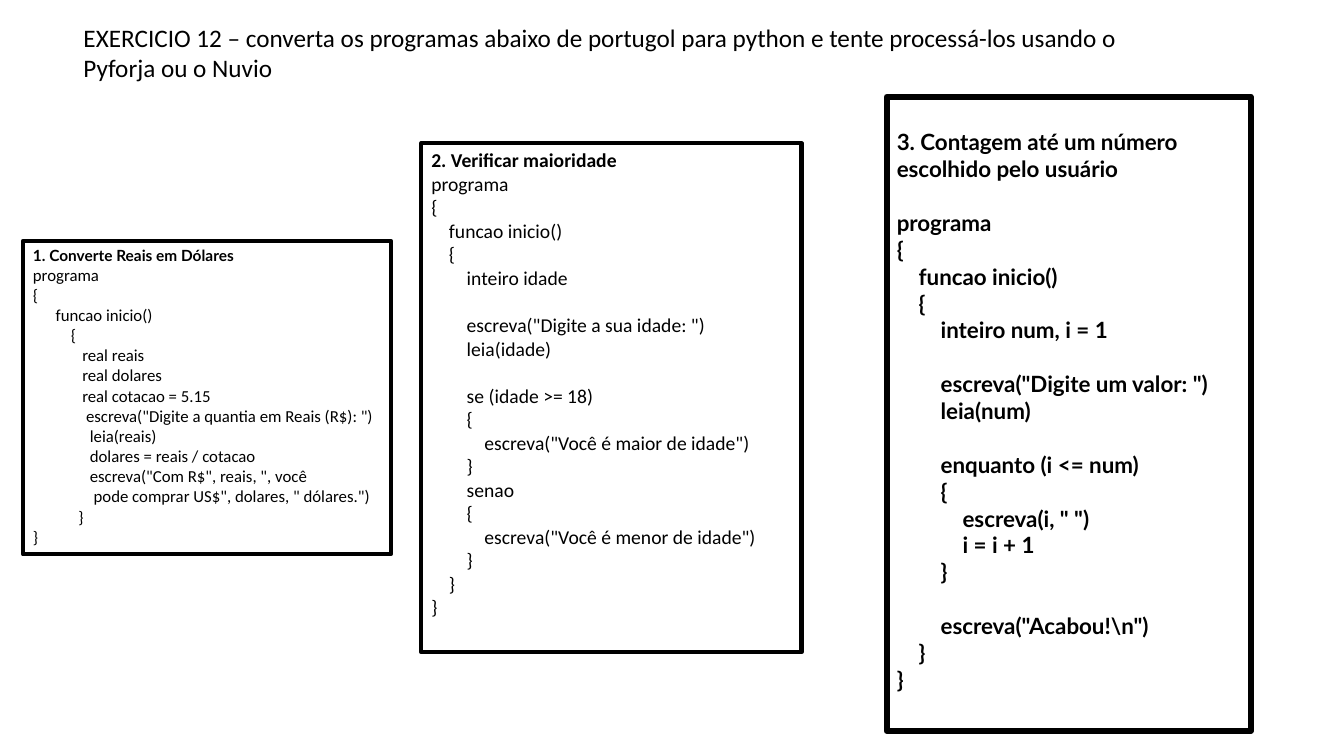
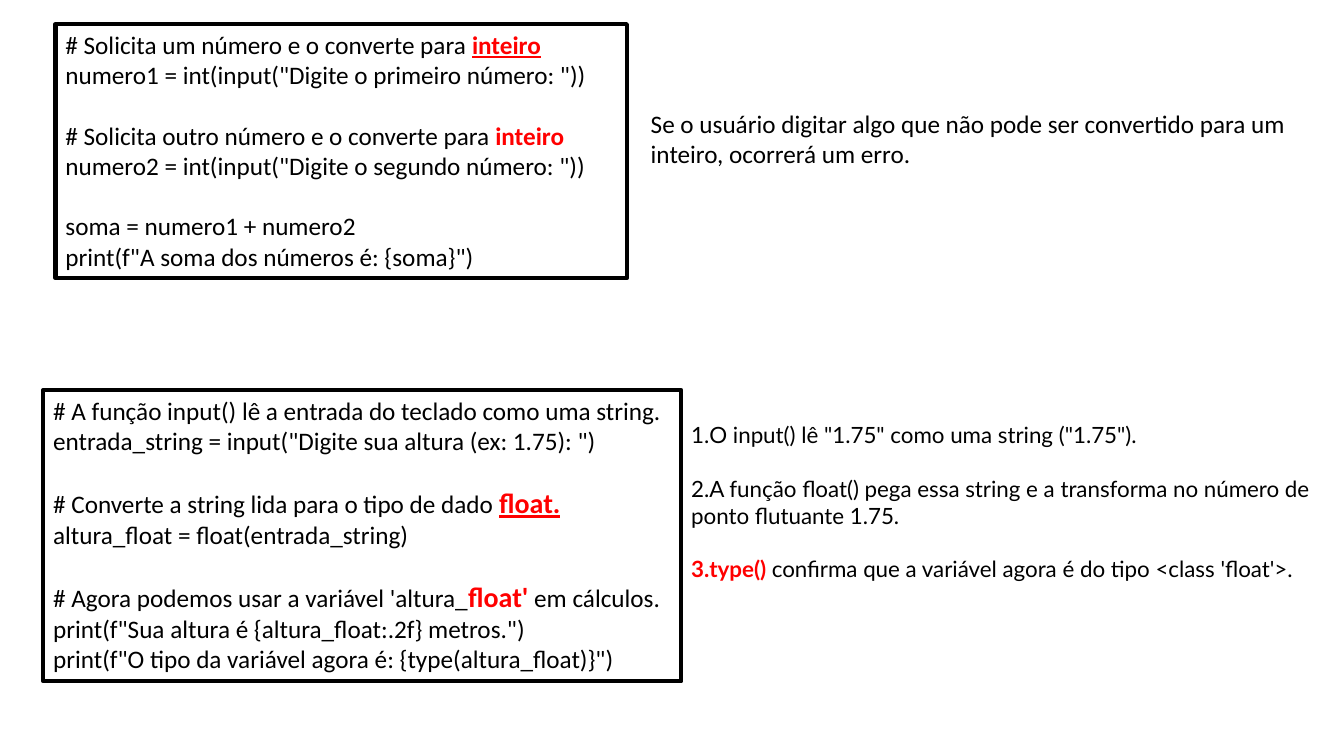
from dataclasses import dataclass

import lxml.etree
import pptx
import pptx.dml.color
import pptx.enum.shapes
import pptx.enum.text
import pptx.oxml.ns
import pptx.util
from pptx.util import Cm


@dataclass(frozen=True)
class Theme:
    ink: str = "000000"
    accent: str = "FF0000"
    body_font: str = "Calibri"
    alternate_font: str = "Lato"
    body: float = 18
    emphasis: float = 20
    list_size: float = 16
    line_height: float = 1.2
    border: float = 3
    thick_border: float = 4.5


@dataclass(frozen=True)
class TextStyle:
    font: str
    size: float
    bold: bool = False
    space_width: float = 0.226


@dataclass(frozen=True)
class Emphasis:
    text: str
    size: float
    underline: bool = False


THEME = Theme()
BODY = TextStyle(THEME.body_font, THEME.body)
LIST = TextStyle(THEME.alternate_font, THEME.list_size)

CURRENCY_PROGRAM = r"""
1. Converte Reais em Dólares
programa
{
      funcao inicio()
          {
             real reais
             real dolares
             real cotacao = 5.15
              escreva("Digite a quantia em Reais (R$): ")
               leia(reais)
               dolares = reais / cotacao
               escreva("Com R$", reais, ", você
                pode comprar US$", dolares, " dólares.")
            }
}
"""

AGE_PROGRAM = r"""
2. Verificar maioridade
programa
{
    funcao inicio()
    {
        inteiro idade

        escreva("Digite a sua idade: ")
        leia(idade)

        se (idade >= 18)
        {
            escreva("Você é maior de idade")
        }
        senao
        {
            escreva("Você é menor de idade")
        }
    }
}
"""

COUNT_PROGRAM = r"""
3. Contagem até um número escolhido pelo usuário

programa
{
    funcao inicio()
    {
        inteiro num, i = 1

        escreva("Digite um valor: ")
        leia(num)

        enquanto (i <= num)
        {
            escreva(i, " ")
            i = i + 1
        }

        escreva("Acabou!\n")
    }
}
"""

SUM_CODE = [
    ("# Solicita um número e o converte para ", Emphasis("inteiro", THEME.body, True)),
    'numero1 = int(input("Digite o primeiro número: "))',
    "",
    ("# Solicita outro número e o converte para ", Emphasis("inteiro", THEME.body)),
    'numero2 = int(input("Digite o segundo número: "))',
    "",
    "soma = numero1 + numero2",
    'print(f"A soma dos números é: {soma}")',
]

HEIGHT_CODE = [
    "# A função input() lê a entrada do teclado como uma string.",
    'entrada_string = input("Digite sua altura (ex: 1.75): ")',
    "",
    ("# Converte a string lida para o tipo de dado ", Emphasis("float.", THEME.emphasis, True)),
    "altura_float = float(entrada_string)",
    "",
    ("# Agora podemos usar a variável 'altura_", Emphasis("float'", THEME.emphasis), " em cálculos."),
    'print(f"Sua altura é {altura_float:.2f} metros.")',
    'print(f"O tipo da variável agora é: {type(altura_float)}")',
]

HEIGHT_STEPS = [
    'O input() lê "1.75" como uma string ("1.75").',
    "",
    "A função float() pega essa string e a transforma no número de ponto flutuante 1.75.",
    "",
    (Emphasis("type() ", THEME.list_size), "confirma que a variável agora é do tipo <class 'float'>."),
]


def color(value):
    return pptx.dml.color.RGBColor.from_string(value)


def format_paragraph(paragraph, style):
    paragraph.alignment = pptx.enum.text.PP_ALIGN.LEFT
    font = paragraph.font
    font.name = style.font
    font.size = pptx.util.Pt(style.size)
    font.bold = style.bold
    font.color.rgb = color(THEME.ink)


def add_piece(paragraph, piece):
    run = paragraph.add_run()
    if isinstance(piece, str):
        run.text = piece
        return
    run.text = piece.text
    run.font.size = pptx.util.Pt(piece.size)
    run.font.bold = True
    run.font.underline = piece.underline
    run.font.color.rgb = color(THEME.accent)


def set_left_indent(paragraph, points):
    properties = paragraph._p.get_or_add_pPr()
    properties.set("marL", str(pptx.util.Pt(points)))
    properties.set("indent", "0")
    return properties


def write_lines(text_frame, lines, style, heading=None, numbered=False):
    text_frame.word_wrap = True
    text_frame.auto_size = pptx.enum.text.MSO_AUTO_SIZE.NONE
    text_frame.vertical_anchor = pptx.enum.text.MSO_ANCHOR.TOP
    gap = 0
    for number, line in enumerate(lines):
        if not line:
            gap = style.size * THEME.line_height
            continue
        paragraph = text_frame.add_paragraph() if number else text_frame.paragraphs[0]
        format_paragraph(paragraph, heading if heading and number == 0 else style)
        paragraph.space_before = pptx.util.Pt(gap)
        gap = 0
        pieces = (line,) if isinstance(line, str) else line
        spaces = 0
        if isinstance(line, str):
            pieces = (line.lstrip(),)
            spaces = len(line) - len(pieces[0])
        properties = set_left_indent(paragraph, spaces * style.space_width * style.size)
        if numbered:
            bullet = lxml.etree.SubElement(properties, pptx.oxml.ns.qn("a:buAutoNum"))
            bullet.set("type", "arabicPeriod")
            properties.insert_element_before(bullet, "a:tabLst", "a:defRPr", "a:extLst")
        for piece in pieces:
            add_piece(paragraph, piece)


def add_code_box(slide, position, lines, style, heading=None, border=THEME.border):
    box = slide.shapes.add_shape(
        pptx.enum.shapes.MSO_SHAPE.RECTANGLE, *(Cm(length) for length in position)
    )
    box.shadow.inherit = False
    box.fill.background()
    box.line.color.rgb = color(THEME.ink)
    box.line.width = pptx.util.Pt(border)
    write_lines(box.text_frame, lines, style, heading)
    return box


def add_note(slide, position, lines, style, numbered=False):
    note = slide.shapes.add_textbox(*(Cm(length) for length in position))
    write_lines(note.text_frame, lines, style, numbered=numbered)


def set_title(slide, position, text):
    title = slide.shapes.title
    title.left, title.top, title.width, title.height = (Cm(length) for length in position)
    write_lines(title.text_frame, [text], BODY)


def program_lines(program):
    return program.strip().splitlines()


def build_exercise(presentation):
    slide = presentation.slides.add_slide(presentation.slide_layouts[5])
    set_title(
        slide,
        (1.85, 0.43, 27.1, 1.8),
        "EXERCICIO 12 – converta os programas abaixo de portugol para python "
        "e tente processá-los usando o Pyforja ou o Nuvio",
    )
    add_code_box(
        slide, (0.58, 6.07, 9.27, 7.9), program_lines(CURRENCY_PROGRAM),
        TextStyle(THEME.body_font, 12),
        heading=TextStyle(THEME.alternate_font, 11, bold=True),
    )
    add_code_box(
        slide, (10.62, 3.61, 9.58, 12.83), program_lines(AGE_PROGRAM),
        TextStyle(THEME.body_font, 14),
        heading=TextStyle(THEME.body_font, 14, bold=True),
    )
    count_box = add_code_box(
        slide, (22.35, 2.44, 9.17, 15.98), program_lines(COUNT_PROGRAM),
        TextStyle(THEME.alternate_font, 16, bold=True, space_width=0.245),
        border=THEME.thick_border,
    )
    count_box.text_frame.margin_top = Cm(0.8)


def build_conversion(presentation):
    slide = presentation.slides.add_slide(presentation.slide_layouts[6])
    add_code_box(slide, (1.4, 0.61, 14.4, 6.4), SUM_CODE, BODY)
    add_note(
        slide, (16.15, 2.6, 16.92, 1.8),
        ["Se o usuário digitar algo que não pode ser convertido para um inteiro, ocorrerá um erro."],
        BODY,
    )
    add_code_box(slide, (1.09, 9.83, 16.08, 7.34), HEIGHT_CODE, BODY)
    add_note(slide, (17.17, 10.49, 16.92, 4.37), HEIGHT_STEPS, LIST, numbered=True)


def main():
    presentation = pptx.Presentation()
    presentation.slide_width = Cm(33.87)
    presentation.slide_height = Cm(19.05)
    build_exercise(presentation)
    build_conversion(presentation)
    presentation.save("out.pptx")


if __name__ == "__main__":
    main()
